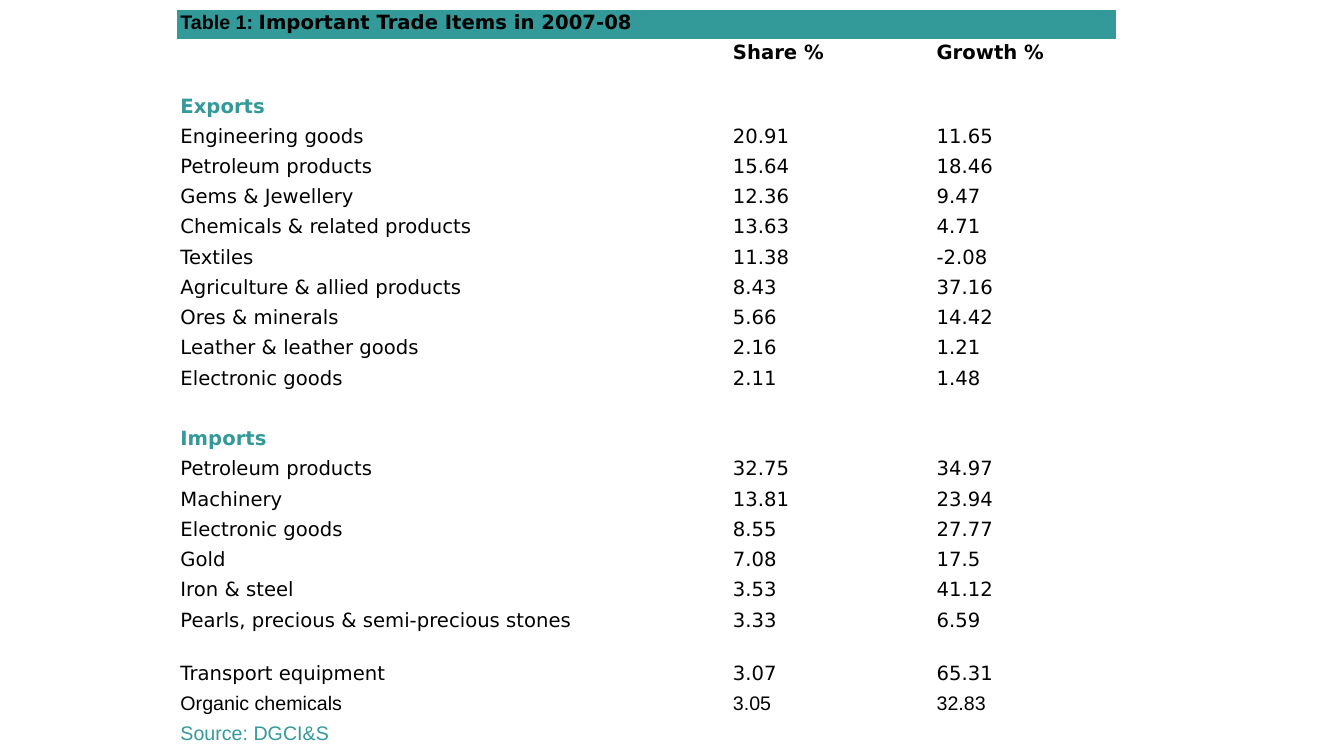
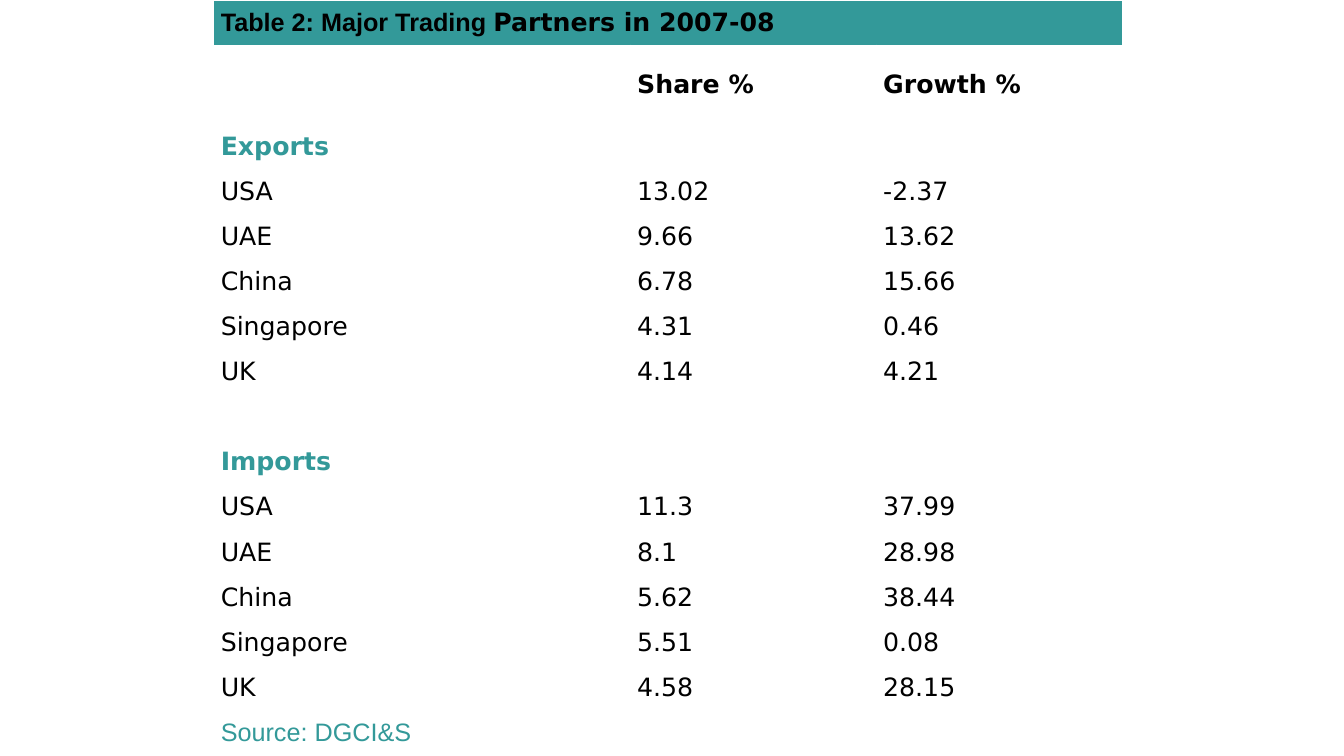
from dataclasses import dataclass
from typing import NamedTuple

import pptx
import pptx.dml.color
import pptx.enum.text
import pptx.oxml
import pptx.oxml.ns
import pptx.table
import pptx.util
from lxml import etree

TEAL = pptx.dml.color.RGBColor(0x33, 0x99, 0x99)
BLACK = pptx.dml.color.RGBColor(0x00, 0x00, 0x00)
WHITE = pptx.dml.color.RGBColor(0xFF, 0xFF, 0xFF)
SANS = "DejaVu Sans"
ARIAL = "Arial"
SLIDE_WIDTH, SLIDE_HEIGHT = pptx.util.Inches(13.33), pptx.util.Inches(7.5)
BORDER_WIDTH = pptx.util.Pt(0.75)
HEADINGS = ("", "Share %", "Growth %")
SOURCE = "Source: DGCI&S"


class Run(NamedTuple):
    text: str
    font: str = SANS
    color: pptx.dml.color.RGBColor = BLACK
    bold: bool = False


class Item(NamedTuple):
    name: str
    share: str
    growth: str
    font: str = SANS


class Section(NamedTuple):
    heading: str
    items: list[Item]


class Row(NamedTuple):
    """One list of runs per cell; a single cell spans the table."""
    cells: list[list[Run]]
    fill: pptx.dml.color.RGBColor = WHITE


@dataclass
class TradeTable:
    title: list[Run]
    sections: list[Section]
    left: float
    top: float
    columns: list[float]
    height: float
    tall_rows: dict[int, float]
    size: int
    inset_x: float
    inset_y: float
    anchor: pptx.enum.text.MSO_ANCHOR


TRADE_ITEMS = TradeTable(
    title=[Run("Table 1: ", ARIAL, bold=True),
           Run("Important Trade Items in 2007-08", bold=True)],
    sections=[
        Section("Exports", [
            Item("Engineering goods", "20.91", "11.65"),
            Item("Petroleum products", "15.64", "18.46"),
            Item("Gems & Jewellery", "12.36", "9.47"),
            Item("Chemicals & related products", "13.63", "4.71"),
            Item("Textiles", "11.38", "-2.08"),
            Item("Agriculture & allied products", "8.43", "37.16"),
            Item("Ores & minerals", "5.66", "14.42"),
            Item("Leather & leather goods", "2.16", "1.21"),
            Item("Electronic goods", "2.11", "1.48"),
        ]),
        Section("Imports", [
            Item("Petroleum products", "32.75", "34.97"),
            Item("Machinery", "13.81", "23.94"),
            Item("Electronic goods", "8.55", "27.77"),
            Item("Gold", "7.08", "17.5"),
            Item("Iron & steel", "3.53", "41.12"),
            Item("Pearls, precious & semi-precious stones", "3.33", "6.59"),
            Item("Transport equipment", "3.07", "65.31"),
            Item("Organic chemicals", "3.05", "32.83", ARIAL),
        ]),
    ],
    left=1.75, top=0.09, columns=[5.48, 2.02, 1.82], height=7.36,
    tall_rows={1: 0.53, 19: 0.53}, size=14, inset_x=0.04, inset_y=0.02,
    anchor=pptx.enum.text.MSO_ANCHOR.TOP,
)

TRADING_PARTNERS = TradeTable(
    title=[Run("Table 2: Major Trading ", ARIAL, bold=True),
           Run("Partners in 2007-08", bold=True)],
    sections=[
        Section("Exports", [
            Item("USA", "13.02", "-2.37"),
            Item("UAE", "9.66", "13.62"),
            Item("China", "6.78", "15.66"),
            Item("Singapore", "4.31", "0.46"),
            Item("UK", "4.14", "4.21"),
        ]),
        Section("Imports", [
            Item("USA", "11.3", "37.99"),
            Item("UAE", "8.1", "28.98"),
            Item("China", "5.62", "38.44"),
            Item("Singapore", "5.51", "0.08"),
            Item("UK", "4.58", "28.15"),
        ]),
    ],
    left=2.12, top=0, columns=[4.13, 2.44, 2.44], height=7.5,
    tall_rows={1: 0.78}, size=18, inset_x=0.07, inset_y=0.03,
    anchor=pptx.enum.text.MSO_ANCHOR.MIDDLE,
)


def table_rows(trade: TradeTable) -> list[Row]:
    """Title, headings, sections parted by an empty row, then the source."""
    rows = [Row([trade.title], TEAL),
            Row([[Run(heading, bold=True)] if heading else [] for heading in HEADINGS])]
    for number, section in enumerate(trade.sections):
        if number:
            rows.append(Row([[] for _ in HEADINGS]))
        rows.append(Row([[Run(section.heading, color=TEAL, bold=True)]]))
        rows += [Row([[Run(text, item.font)] for text in item[:3]])
                 for item in section.items]
    rows.append(Row([[Run(SOURCE, ARIAL, TEAL)]]))
    return rows


def add_borders(cell: pptx.table._Cell) -> None:
    """White lines on all four sides, placed before the fill as the schema asks."""
    properties = cell._tc.get_or_add_tcPr()
    for position, side in enumerate(("lnL", "lnR", "lnT", "lnB")):
        line = pptx.oxml.parse_xml(
            f'<a:{side} {pptx.oxml.ns.nsdecls("a")} w="{BORDER_WIDTH}">'
            f'<a:solidFill><a:srgbClr val="{WHITE}"/></a:solidFill></a:{side}>')
        properties.insert(position, line)


def style_cell(cell: pptx.table._Cell, trade: TradeTable,
               fill: pptx.dml.color.RGBColor) -> None:
    cell.fill.solid()
    cell.fill.fore_color.rgb = fill
    cell.margin_left = cell.margin_right = pptx.util.Inches(trade.inset_x)
    cell.margin_top = cell.margin_bottom = pptx.util.Inches(trade.inset_y)
    cell.vertical_anchor = trade.anchor
    add_borders(cell)


def write_runs(cell: pptx.table._Cell, runs: list[Run], size: int) -> None:
    paragraph = cell.text_frame.paragraphs[0]
    for part in runs:
        run = paragraph.add_run()
        run.text = part.text
        run.font.name = part.font
        run.font.size = pptx.util.Pt(size)
        run.font.bold = part.bold
        run.font.color.rgb = part.color
    if not runs:
        # The end mark's size keeps an empty cell from stretching its row.
        etree.SubElement(paragraph._p, pptx.oxml.ns.qn("a:endParaRPr"), sz=str(size * 100))


def add_trade_slide(deck: pptx.presentation.Presentation, trade: TradeTable) -> None:
    rows = table_rows(trade)
    slide = deck.slides.add_slide(deck.slide_layouts[6])
    table = slide.shapes.add_table(
        len(rows), len(trade.columns),
        pptx.util.Inches(trade.left), pptx.util.Inches(trade.top),
        pptx.util.Inches(sum(trade.columns)), pptx.util.Inches(trade.height)).table
    table.first_row = table.horz_banding = False
    for column, width in zip(table.columns, trade.columns):
        column.width = pptx.util.Inches(width)

    plain_height = ((trade.height - sum(trade.tall_rows.values()))
                    / (len(rows) - len(trade.tall_rows)))
    for index, row in enumerate(rows):
        table.rows[index].height = pptx.util.Inches(trade.tall_rows.get(index, plain_height))
        for cell in table.rows[index].cells:
            style_cell(cell, trade, row.fill)
        if len(row.cells) == 1:
            table.cell(index, 0).merge(table.cell(index, len(trade.columns) - 1))
        for column, runs in enumerate(row.cells):
            write_runs(table.cell(index, column), runs, trade.size)


def main() -> None:
    deck = pptx.Presentation()
    deck.slide_width, deck.slide_height = SLIDE_WIDTH, SLIDE_HEIGHT
    for trade in (TRADE_ITEMS, TRADING_PARTNERS):
        add_trade_slide(deck, trade)
    deck.save("out.pptx")


if __name__ == "__main__":
    main()
